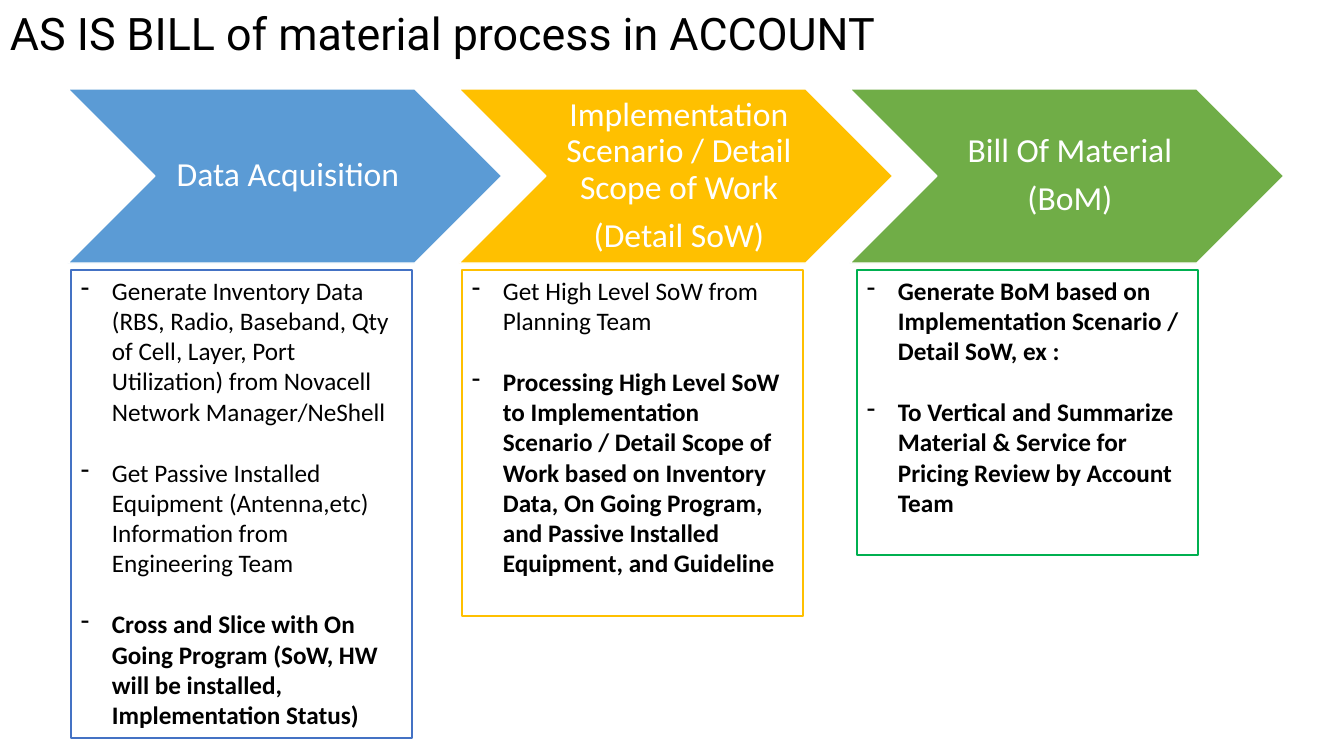
from dataclasses import dataclass

from lxml.etree import SubElement
from pptx import Presentation
from pptx.dml.color import RGBColor
from pptx.enum.shapes import MSO_SHAPE
from pptx.enum.text import MSO_ANCHOR, PP_ALIGN
from pptx.oxml.ns import qn
from pptx.util import Emu, Pt

EMU_PER_PIXEL = 914400 / 100.8


def px(pixels):
    """Turn whole pixels into EMU."""
    return Emu(round(pixels * EMU_PER_PIXEL))


@dataclass(frozen=True)
class Theme:
    """Colours, fonts and type sizes of the slide."""
    white: str = "FFFFFF"
    black: str = "000000"
    blue: str = "5B9BD5"
    blue_edge: str = "4472C4"
    gold: str = "FFC000"
    green: str = "70AD47"
    green_edge: str = "00B050"
    heading_font: str = "Roboto"
    body_font: str = "Calibri"
    title_size: int = 32
    stage_size: int = 24
    task_size: int = 18
    stage_gap: float = 8.4
    task_gap: int = 22


class ProcessSlide:
    """Draws the parts of a process slide in one style."""

    def __init__(self, slide, theme):
        """Keep the slide and its theme."""
        self.slide = slide
        self.theme = theme

    def style(self, paragraph, font_name, size, color, bold=False):
        """Set the font of a whole paragraph."""
        font = paragraph.font
        font.name, font.size, font.bold = font_name, Pt(size), bold
        font.color.rgb = RGBColor.from_string(color)

    def paragraphs(self, frame, texts):
        """Fill a text frame and yield each of its paragraphs."""
        for index, text in enumerate(texts):
            paragraph = frame.add_paragraph() if index else frame.paragraphs[0]
            paragraph.text = text
            yield paragraph

    def shape(self, kind, bounds, edge, edge_width, fill=None):
        """Add a preset shape with an edge and an optional fill."""
        shape = self.slide.shapes.add_shape(kind, *map(px, bounds))
        shape.shadow.inherit = False
        if fill:
            shape.fill.solid()
            shape.fill.fore_color.rgb = RGBColor.from_string(fill)
        else:
            shape.fill.background()
        shape.line.color.rgb = RGBColor.from_string(edge)
        shape.line.width = Pt(edge_width)
        shape.text_frame.word_wrap = True
        return shape

    def title(self, text, bounds):
        """Add the slide heading."""
        frame = self.slide.shapes.add_textbox(*map(px, bounds)).text_frame
        frame.word_wrap = True
        frame.vertical_anchor = MSO_ANCHOR.MIDDLE
        for paragraph in self.paragraphs(frame, [text]):
            paragraph.line_spacing = 0.9
            self.style(paragraph, self.theme.heading_font,
                       self.theme.title_size, self.theme.black)

    def stage(self, lines, bounds, fill):
        """Add a chevron that names a process stage."""
        chevron = self.shape(MSO_SHAPE.CHEVRON, bounds, self.theme.white, 1, fill)
        frame = chevron.text_frame
        frame.vertical_anchor = MSO_ANCHOR.MIDDLE
        frame.margin_left = px(10)
        frame.margin_right = frame.margin_top = frame.margin_bottom = px(4)
        for paragraph in self.paragraphs(frame, lines):
            paragraph.alignment = PP_ALIGN.CENTER
            paragraph.line_spacing = 0.9
            paragraph.space_after = Pt(self.theme.stage_gap)
            self.style(paragraph, self.theme.body_font,
                       self.theme.stage_size, self.theme.white)

    def tasks(self, items, bounds, edge):
        """Add a framed list of (text, bold) tasks with dash bullets."""
        frame = self.shape(MSO_SHAPE.RECTANGLE, bounds, edge, 2).text_frame
        frame.vertical_anchor = MSO_ANCHOR.TOP
        texts = [text for text, _ in items]
        for index, paragraph in enumerate(self.paragraphs(frame, texts)):
            paragraph.alignment = PP_ALIGN.LEFT
            paragraph.space_before = Pt(self.theme.task_gap if index else 0)
            self.style(paragraph, self.theme.body_font, self.theme.task_size,
                       self.theme.black, items[index][1])
            self.dash(paragraph)

    def dash(self, paragraph):
        """Give a paragraph a hanging dash bullet."""
        properties = paragraph._p.get_or_add_pPr()
        indent = px(31)
        properties.set("marL", str(indent))
        properties.set("indent", str(-indent))
        bullet = SubElement(properties, qn("a:buChar"))
        bullet.set("char", "-")
        # The schema wants the bullet ahead of the default run properties.
        properties.find(qn("a:defRPr")).addprevious(bullet)


def main():
    """Build and save the slide."""
    theme = Theme()
    deck = Presentation()
    deck.slide_width, deck.slide_height = px(1344), px(756)
    page = ProcessSlide(deck.slides.add_slide(deck.slide_layouts[6]), theme)

    # Stage lines, chevron fill, box edge, box left, box height, tasks
    stages = [
        (["Data Acquisition"], theme.blue, theme.blue_edge, 71, 468, [
            ("Generate Inventory Data (RBS, Radio, Baseband, Qty of Cell, Layer, "
             "Port Utilization) from Novacell Network Manager/NeShell", False),
            ("Get Passive Installed Equipment (Antenna,etc) Information from "
             "Engineering Team", False),
            ("Cross and Slice with On Going Program (SoW, HW will be installed, "
             "Implementation Status)", True)]),
        (["Implementation Scenario / Detail Scope of Work", "(Detail SoW)"],
         theme.gold, theme.gold, 462, 346, [
            ("Get High Level SoW from Planning Team", False),
            ("Processing High Level SoW to Implementation Scenario / Detail Scope "
             "of Work based on Inventory Data, On Going Program, and Passive "
             "Installed Equipment, and Guideline", True)]),
        (["Bill Of Material", "(BoM)"], theme.green, theme.green_edge, 857, 285, [
            ("Generate BoM based on Implementation Scenario / Detail SoW, ex :", True),
            ("To Vertical and Summarize Material & Service for Pricing Review by "
             "Account Team", True)]),
    ]
    stage_left, stage_step = 68, 391
    for index, (lines, fill, edge, left, height, items) in enumerate(stages):
        page.stage(lines, (stage_left + index * stage_step, 89, 434, 174), fill)
        page.tasks(items, (left, 270, 341, height), edge)
    page.title("AS IS BILL of material process in ACCOUNT", (0, -12, 1336, 96))

    deck.save("out.pptx")


main()
